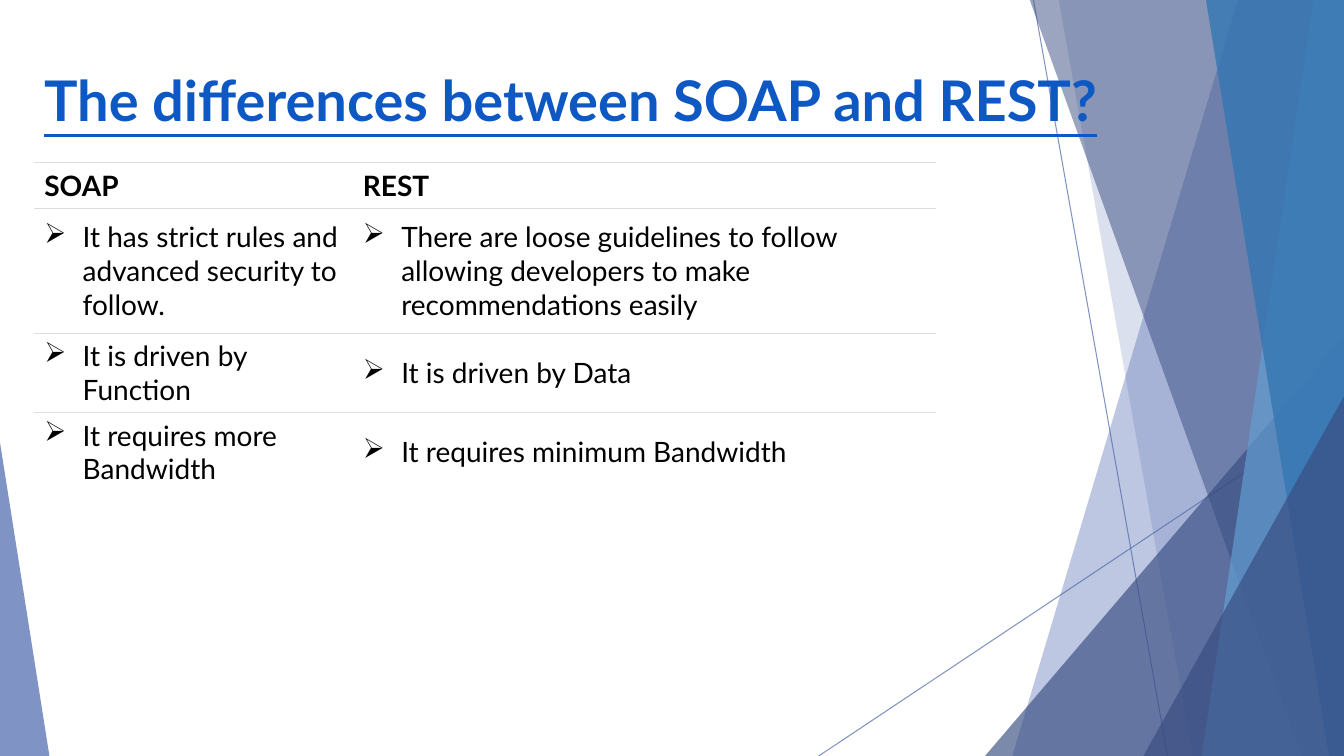
from dataclasses import dataclass

from lxml import etree
from pptx import Presentation, util as u
from pptx.dml.color import RGBColor
from pptx.enum import shapes, text
from pptx.oxml.ns import qn

PX = 9144  # 100 px to the inch
WIDTH, HEIGHT = 1333, 750


@dataclass(frozen=True)
class Theme:
    font: str = "Lato"
    title_size: int = 40
    table_size: int = 20
    title: str = "0E58C4"
    ink: str = "000000"
    paper: str = "FFFFFF"
    rule: str = "DDDDDD"
    blue: str = "4A66AC"
    navy: str = "384C81"
    sky: str = "629DD1"
    ocean: str = "3477B2"
    rule_width: float = 0.75


THEME = Theme()

# Top-left x, bottom-left x, colour and opacity of each band on the right
PALE_BANDS = [(1228, 1004, THEME.blue, 36), (1050, 1183, THEME.blue, 20)]
DEEP_BANDS = [
    (1021, 1291, THEME.navy, 50),
    (1303, 1192, THEME.sky, 70),
    (1196, 1318, THEME.ocean, 80),
]

COMPARISON = [
    ("SOAP", "REST"),
    ("It has strict rules and advanced security to follow.",
     "There are loose guidelines to follow allowing developers to make recommendations easily"),
    ("It is driven by Function", "It is driven by Data"),
    ("It requires more Bandwidth", "It requires minimum Bandwidth"),
]
COLUMN_WIDTHS = [316, 578]
ROW_HEIGHTS = [40, 124, 68, 69]


def px(*lengths):
    return [u.Emu(length * PX) for length in lengths]


def rgb(colour):
    return RGBColor.from_string(colour)


def set_opacity(shape, percent):
    for colour in shape._element.spPr.iter(qn("a:srgbClr")):
        etree.SubElement(colour, qn("a:alpha"), val=str(percent * 1000))


def tint(shape, colour, opacity):
    shape.shadow.inherit = False
    shape.fill.solid()
    shape.fill.fore_color.rgb = rgb(colour)
    shape.line.fill.background()
    set_opacity(shape, opacity)


def add_run(paragraph, words, size, colour, bold=False, underline=False):
    run = paragraph.add_run()
    run.text = words
    run.font.name = THEME.font
    run.font.size = u.Pt(size)
    run.font.bold = bold
    run.font.underline = underline
    run.font.color.rgb = rgb(colour)


def add_ray(slide, start, end):
    ray = slide.shapes.add_connector(
        shapes.MSO_CONNECTOR.STRAIGHT, *px(*start, *end))
    ray.line.color.rgb = rgb(THEME.blue)
    ray.line.width = u.Pt(THEME.rule_width)
    set_opacity(ray, 70)
    etree.SubElement(ray._element.spPr, qn("a:effectLst"))


def add_band(slide, box, top_left, bottom_left, colour, opacity):
    left, top, width, height = box
    right, bottom = left + width, top + height
    outline = slide.shapes.build_freeform(left + top_left, top - 1, scale=PX)
    outline.add_line_segments(
        [(right, top - 1), (right, bottom), (left + bottom_left, bottom)])
    tint(outline.convert_to_shape(), colour, opacity)


def add_corner(slide, box, apex, colour, opacity):
    corner = slide.shapes.add_shape(
        shapes.MSO_SHAPE.ISOSCELES_TRIANGLE, *px(*box))
    corner.adjustments[0] = apex
    tint(corner, colour, opacity)


def add_backdrop(slide, box):
    left, top, width, height = box
    right, bottom = left + width, top + height
    # Thin crossing lines
    add_ray(slide, (left + 1025, top), (left + 1158, bottom))
    add_ray(slide, (right, top + 403), (left + 812, bottom))
    # Bands and corner triangles, back to front
    for band in PALE_BANDS:
        add_band(slide, box, *band)
    add_corner(slide, (right - 356, bottom - 417, 356, 417), 1, THEME.navy, 66)
    for band in DEEP_BANDS:
        add_band(slide, box, *band)
    add_corner(slide, (right - 199, bottom - 357, 199, 357), 1, THEME.navy, 66)
    add_corner(slide, (left, bottom - 311, 49, 311), 0, THEME.blue, 70)


def add_title(slide, box):
    frame = slide.shapes.add_textbox(*px(*box)).text_frame
    frame.word_wrap = True
    frame.vertical_anchor = text.MSO_ANCHOR.TOP
    add_run(frame.paragraphs[0], "The differences between SOAP and REST?",
            THEME.title_size, THEME.title, bold=True, underline=True)


def set_borders(cell, ruled_sides):
    properties = cell._tc.get_or_add_tcPr()
    for side in "LRTB":
        border = etree.SubElement(properties, qn(f"a:ln{side}"))
        if side in ruled_sides:
            border.set("w", str(u.Pt(THEME.rule_width)))
            fill = etree.SubElement(border, qn("a:solidFill"))
            etree.SubElement(fill, qn("a:srgbClr"), val=THEME.rule)
        else:
            etree.SubElement(border, qn("a:noFill"))


def set_bullet(paragraph):
    properties = paragraph._p.get_or_add_pPr()
    indent = px(38)[0]
    properties.set("marL", str(indent))
    properties.set("indent", str(-indent))
    etree.SubElement(properties, qn("a:buChar"), char="➢")


def fill_cell(cell, words, heading, ruled_sides):
    set_borders(cell, ruled_sides)
    cell.fill.solid()
    cell.fill.fore_color.rgb = rgb(THEME.paper)
    cell.vertical_anchor = text.MSO_ANCHOR.MIDDLE
    cell.margin_left, cell.margin_right = px(10, 10)
    cell.margin_top, cell.margin_bottom = px(6, 6)
    paragraph = cell.text_frame.paragraphs[0]
    if not heading:
        set_bullet(paragraph)
    add_run(paragraph, words, THEME.table_size, THEME.ink, bold=heading)


def add_comparison(slide, box):
    table = slide.shapes.add_table(
        len(COMPARISON), len(COLUMN_WIDTHS), *px(*box)).table
    table.first_row = table.horz_banding = False
    for column, width in zip(table.columns, px(*COLUMN_WIDTHS)):
        column.width = width
    for row, height in zip(table.rows, px(*ROW_HEIGHTS)):
        row.height = height
    last = len(COMPARISON) - 1
    for r, row_words in enumerate(COMPARISON):
        for c, words in enumerate(row_words):
            fill_cell(table.cell(r, c), words, heading=r == 0,
                      ruled_sides="T" if r == last else "TB")


def main():
    deck = Presentation()
    deck.slide_width, deck.slide_height = px(WIDTH, HEIGHT)
    slide = deck.slides.add_slide(deck.slide_layouts[6])
    add_backdrop(slide, (0, 0, WIDTH, HEIGHT))
    add_title(slide, (34, 60, 1100, 180))
    add_comparison(slide, (34, 161, sum(COLUMN_WIDTHS), sum(ROW_HEIGHTS)))
    deck.save("out.pptx")


if __name__ == "__main__":
    main()
